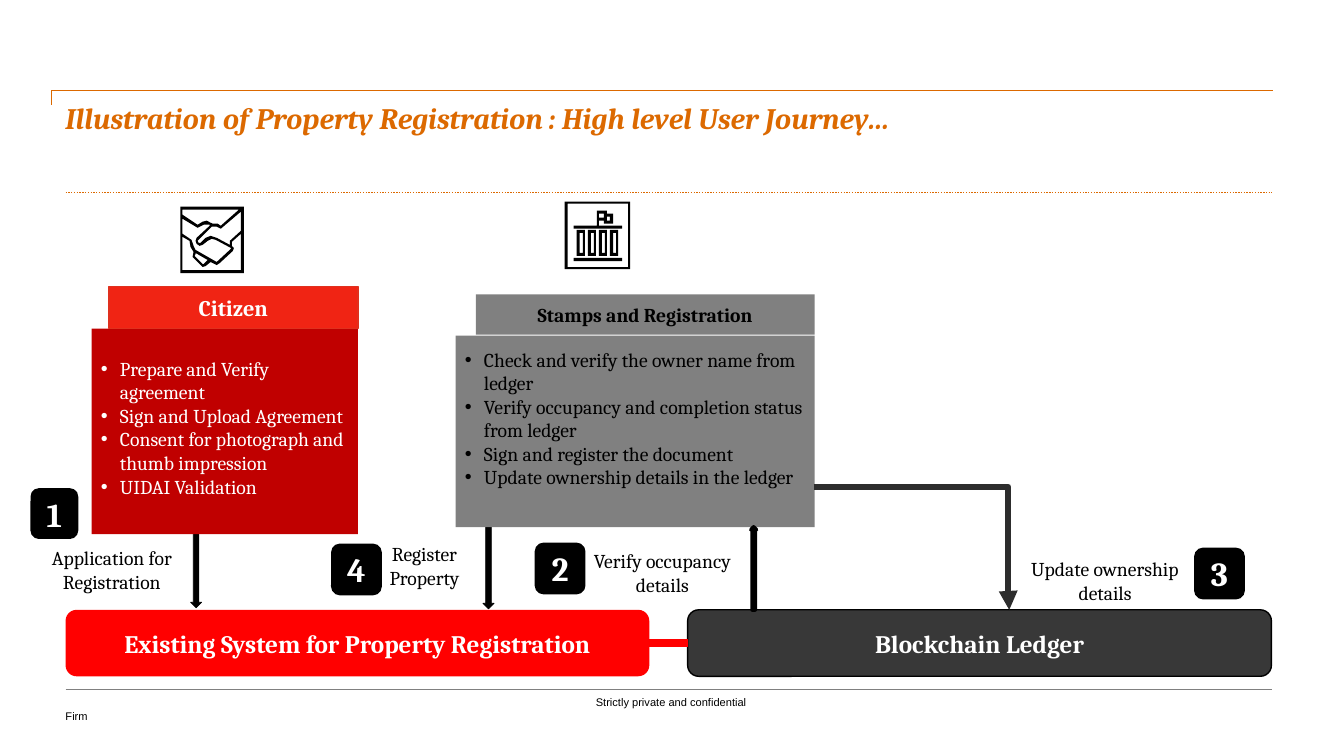
from dataclasses import dataclass

from lxml.etree import SubElement
from pptx import Presentation
from pptx.dml.color import RGBColor
from pptx.enum.dml import MSO_LINE
from pptx.enum.shapes import MSO_CONNECTOR as Link, MSO_SHAPE as Preset
from pptx.enum.text import MSO_ANCHOR as Anchor, PP_ALIGN as Align
from pptx.oxml.ns import qn
from pptx.util import Inches, Pt

CELL = Inches(0.1)
ICON_UNIT = Inches(0.01)


@dataclass(frozen=True)
class Theme:
    serif: str = "Cambria"
    sans: str = "Arial"
    accent: str = "DC6900"
    red: str = "FF0000"
    citizen_head: str = "F02414"
    citizen_edge: str = "E0301E"
    citizen_body: str = "C00000"
    grey: str = "808080"
    ledger: str = "383838"
    link: str = "2D2D2D"
    black: str = "000000"
    white: str = "FFFFFF"
    title: float = 21.2
    system: float = 18
    badge: float = 24
    heading: float = 16
    body: float = 14
    footer: float = 7.9


@dataclass(frozen=True)
class Box:
    left: float
    top: float
    width: float
    height: float

    def place(self, left, top, width, height):
        return Box(self.left + left, self.top + top, width, height)

    def emu(self):
        return [round(cells * CELL) for cells in (self.left, self.top, self.width, self.height)]


THEME = Theme()


def color(code):
    return RGBColor.from_string(code)


def write(shape, lines, size, ink, font=THEME.serif, bold=False, italic=False,
          align=Align.LEFT, anchor=Anchor.TOP, margins=(0, 0, 0, 0)):
    frame = shape.text_frame
    frame.text = "\n".join(lines)
    frame.word_wrap = True
    frame.vertical_anchor = anchor
    frame.margin_left, frame.margin_top, frame.margin_right, frame.margin_bottom = map(Inches, margins)
    for paragraph in frame.paragraphs:
        paragraph.alignment = align
        for run in paragraph.runs:
            run.font.name, run.font.size = font, Pt(size)
            run.font.bold, run.font.italic = bold, italic
            run.font.color.rgb = color(ink)
    return frame.paragraphs


def add_text(slide, box, text, size, ink, **style):
    return write(slide.shapes.add_textbox(*box.emu()), [text], size, ink, **style)


def paint(shape, fill, edge=None, width=1):
    shape.shadow.inherit = False
    shape.fill.solid()
    shape.fill.fore_color.rgb = color(fill)
    if edge:
        shape.line.color.rgb = color(edge)
        shape.line.width = Pt(width)
    else:
        shape.line.fill.background()
    return shape


def add_block(slide, preset, box, fill, edge=None, width=1):
    return paint(slide.shapes.add_shape(preset, *box.emu()), fill, edge, width)


def add_label(slide, preset, box, text, size, fill, edge=None, ink=THEME.white):
    block = add_block(slide, preset, box, fill, edge)
    write(block, [text], size, ink, bold=True, align=Align.CENTER, anchor=Anchor.MIDDLE)


def add_line(slide, start, end, ink, width, bend=None, dash=None, arrow=False):
    kind = Link.STRAIGHT if bend is None else Link.ELBOW
    line = slide.shapes.add_connector(kind, *[round(cells * CELL) for cells in start + end])
    line.line.color.rgb = color(ink)
    line.line.width = Pt(width)
    if dash:
        line.line.dash_style = dash
    properties = line._element.spPr
    if bend is not None:
        guides = properties.find(qn("a:prstGeom")).get_or_add_avLst()
        SubElement(guides, qn("a:gd"), name="adj1", fmla=f"val {round(bend * 100000)}")
    if arrow:
        SubElement(properties.find(qn("a:ln")), qn("a:tailEnd"), type="triangle")
    SubElement(properties, qn("a:effectLst"))


def rectangle(left, top, width, height):
    right, bottom = left + width, top + height
    return [(left, top), (right, top), (right, bottom), (left, bottom)]


def add_icon(slide, box, contours):
    first, *others = contours
    builder = slide.shapes.build_freeform(*first[0], scale=ICON_UNIT)
    builder.add_line_segments(first[1:], close=True)
    for contour in others:
        builder.move_to(*contour[0])
        builder.add_line_segments(contour[1:], close=True)
    left, top, *_ = box.emu()
    paint(builder.convert_to_shape(left, top), THEME.black)


def handshake():
    return [
        rectangle(0, 0, 63, 66),
        [(15, 47), (15, 46), (27, 53), (23, 57), (22, 57), (14, 49)],
        [(15, 43), (13, 39), (11, 33), (2, 27), (2, 12), (17, 21), (23, 18), (29, 18), (29, 19),
         (16, 31), (15, 34), (16, 37), (19, 39), (22, 38), (27, 34), (31, 32), (35, 33), (50, 41),
         (50, 42), (37, 54), (36, 55)],
        [(49, 34), (49, 38), (36, 31), (30, 29), (25, 31), (20, 36), (18, 36), (17, 34), (18, 33),
         (31, 20), (36, 20), (40, 22), (60, 5), (60, 24)],
        [(58, 3), (40, 19), (37, 17), (32, 17), (30, 16), (26, 14), (22, 15), (17, 18), (2, 8), (2, 3)],
        [(2, 63), (2, 30), (9, 34), (10, 40), (13, 45), (12, 50), (20, 58), (22, 60), (25, 59),
         (30, 55), (34, 57), (36, 58), (39, 56), (52, 44), (53, 41), (51, 39), (51, 35), (60, 27), (60, 63)],
    ]


def public_office():
    roof = [(57, 24), (34, 24), (34, 19), (39, 19), (39, 22), (48, 22), (48, 12), (42, 12), (42, 9),
            (32, 9), (32, 24), (9, 24), (9, 27), (57, 27)]
    contours = [rectangle(0, 0, 65, 67), rectangle(3, 2, 60, 63), rectangle(9, 56, 48, 3),
                roof, rectangle(42, 15, 3, 4), rectangle(34, 12, 5, 4)]
    for column in range(4):
        left = 12 + 11 * column
        contours += [rectangle(left, 28, 8, 26), rectangle(left + 3, 31, 3, 20)]
    return contours


def draw_frame(slide, box):
    right, bottom = box.left + box.width, box.top + box.height
    add_line(slide, (box.left, 19.1), (right, 19.1), THEME.accent, 1, dash=MSO_LINE.ROUND_DOT)
    add_line(slide, (box.left - 1.4, box.top + 1.4), (right + 0.1, box.top), THEME.accent, 0.75, bend=0)
    add_line(slide, (box.left, bottom), (right, bottom), THEME.grey, 0.75)
    title, = add_text(slide, box.place(0, 1.3, box.width, 8.1),
                      "Illustration of Property Registration : High level User Journey…",
                      THEME.title, THEME.accent, bold=True, italic=True)
    title.line_spacing = 0.9
    for footer, text in [(box.place(0, 61.4, 12.3, 1.3), "Firm"),
                         (box.place(52.6, 60, 18, 1.3), "Strictly private and confidential")]:
        add_text(slide, footer, text, THEME.footer, THEME.black, font=THEME.sans)


def draw_panel(slide, box, heading, size, tasks, head, gap, indent, top_margin, fills, edge, ink):
    body_top = head + gap
    body = add_block(slide, Preset.RECTANGLE,
                     box.place(0, body_top, box.width, box.height - body_top), fills[1])
    for paragraph in write(body, tasks, THEME.body, ink, margins=(0.09, top_margin, 0.09, 0.05)):
        properties = paragraph._p.get_or_add_pPr()
        properties.set("marL", str(Inches(0.19)))
        properties.set("indent", str(-Inches(0.19)))
        SubElement(properties, qn("a:buFont"), typeface=THEME.sans)
        SubElement(properties, qn("a:buChar"), char="•")
    add_label(slide, Preset.RECTANGLE, box.place(indent, 0, box.width - indent, head),
              heading, size, fills[0], edge, ink)


def draw_systems(slide, box):
    width, middle = 57.9, box.top + box.height / 2
    ledger_left = box.width - width
    for left, name, fill, edge in [
            (ledger_left, "Blockchain Ledger", THEME.ledger, THEME.black),
            (0, "Existing System for Property Registration", THEME.red, None)]:
        add_label(slide, Preset.ROUNDED_RECTANGLE, box.place(left, 0, width, box.height),
                  name, THEME.system, fill, edge)
    add_line(slide, (box.left + width, middle), (box.left + ledger_left, middle), THEME.red, 6)
    add_line(slide, (80.7, 48.3), (100.1, box.top), THEME.link, 4.5, bend=0.995, arrow=True)


def draw_step(slide, badge, caption, number, text):
    add_label(slide, Preset.ROUNDED_RECTANGLE, badge, number, THEME.badge, THEME.black, THEME.black)
    add_text(slide, caption, text, THEME.body, THEME.black, align=Align.CENTER)


def main():
    presentation = Presentation()
    presentation.slide_width, presentation.slide_height = Inches(13.33), Inches(7.5)
    slide = presentation.slides.add_slide(presentation.slide_layouts[6])
    draw_frame(slide, Box(6.5, 9, 119.7, 59.4))
    for box in (Box(18.9, 42.5, 1.1, 17.8), Box(47.9, 50.4, 1.1, 10)):
        add_block(slide, Preset.DOWN_ARROW, box, THEME.black, THEME.black, 0.5)
    draw_panel(slide, Box(9.1, 28.4, 26.4, 24.6), "Citizen", THEME.heading,
               ["Prepare and Verify agreement", "Sign and Upload Agreement",
                "Consent for photograph and thumb impression", "UIDAI Validation"],
               4.2, 0, 1.7, 0.28, (THEME.citizen_head, THEME.citizen_body), THEME.citizen_edge, THEME.white)
    draw_panel(slide, Box(45.2, 29.2, 35.6, 23.1), "Stamps and Registration", THEME.body,
               ["Check and verify the owner name from ledger",
                "Verify occupancy and completion status from ledger",
                "Sign and register the document", "Update ownership details in the ledger"],
               4, 0.1, 2, 0.12, (THEME.grey, THEME.grey), None, THEME.black)
    add_icon(slide, Box(17.9, 20.5, 6.3, 6.6), handshake())
    add_icon(slide, Box(56, 20, 6.5, 6.7), public_office())
    draw_systems(slide, Box(6.5, 60.5, 119.6, 6.6))
    add_block(slide, Preset.UP_ARROW, Box(74.5, 52.3, 0.5, 8.2), THEME.black, THEME.black, 3)
    for step in [
            (Box(3.1, 48.5, 4.6, 4.9), Box(3.9, 54.2, 14.4, 4.7), "1", "Application for Registration"),
            (Box(53.1, 53.9, 4.9, 5), Box(57.6, 54.5, 16.2, 4.7), "2", "Verify occupancy details"),
            (Box(118.5, 54.4, 4.9, 5), Box(99.9, 55.3, 19.4, 4.7), "3", "Update ownership details"),
            (Box(32.9, 54, 4.9, 5), Box(37, 53.8, 10.2, 4.7), "4", "Register Property")]:
        draw_step(slide, *step)
    presentation.save("out.pptx")


if __name__ == "__main__":
    main()
